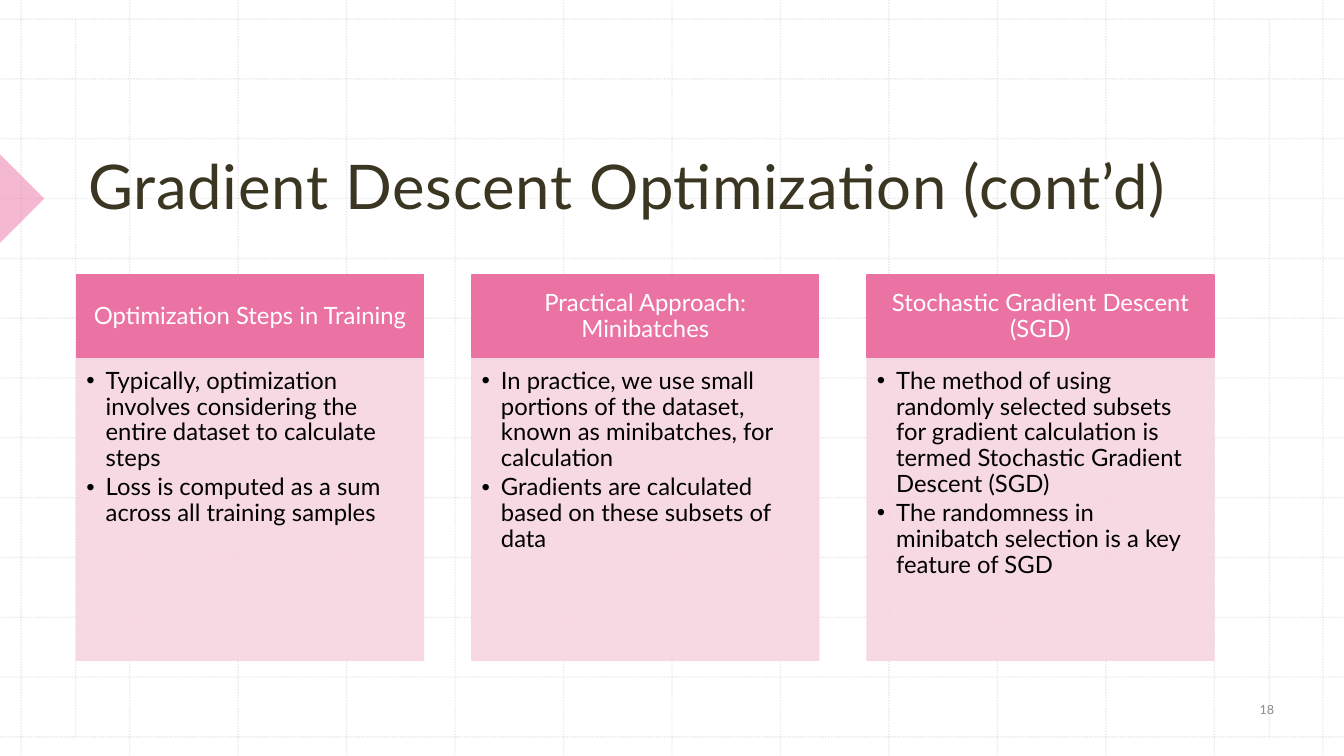
from lxml import etree
from pptx import Presentation
from pptx.dml.color import RGBColor
from pptx.enum.dml import MSO_LINE
from pptx.enum.shapes import MSO_CONNECTOR, MSO_SHAPE
from pptx.enum.text import MSO_ANCHOR, MSO_AUTO_SIZE, PP_ALIGN
from pptx.oxml.ns import qn
from pptx.util import Inches, Pt

STRAIGHT = MSO_CONNECTOR.STRAIGHT
RECT, WEDGE = MSO_SHAPE.RECTANGLE, MSO_SHAPE.RIGHT_TRIANGLE
TOP, MIDDLE, BOTTOM = MSO_ANCHOR.TOP, MSO_ANCHOR.MIDDLE, MSO_ANCHOR.BOTTOM
LEFT, CENTER = PP_ALIGN.LEFT, PP_ALIGN.CENTER
DOTS = MSO_LINE.ROUND_DOT
NO_FIT = MSO_AUTO_SIZE.NONE

COLORS = {
    "grid": "BCBCBC", "pink": "EA73A4", "pale": "F7D5E0", "title": "3A3621",
    "white": "FFFFFF", "black": "000000", "number": "8C8C8C",
}
WIDTH, HEIGHT = 13.33, 7.5
CELLS = 12
CARDS = [
    ("Optimization Steps in Training", [
        "Typically, optimization involves considering the entire dataset to calculate steps",
        "Loss is computed as a sum across all training samples",
    ]),
    ("Practical Approach: Minibatches", [
        "In practice, we use small portions of the dataset, known as minibatches, for calculation",
        "Gradients are calculated based on these subsets of data",
    ]),
    ("Stochastic Gradient Descent (SGD)", [
        "The method of using randomly selected subsets for gradient calculation is termed "
        "Stochastic Gradient Descent (SGD)",
        "The randomness in minibatch selection is a key feature of SGD",
    ]),
]


class Deck:
    font = "Lato"

    def __init__(self):
        self.show = Presentation()
        self.show.slide_width = Inches(WIDTH)
        self.show.slide_height = Inches(HEIGHT)
        self.slide = self.show.slides.add_slide(self.show.slide_layouts[5])
        self.shapes = self.slide.shapes

    def paint(self, fill, color, alpha=100):
        fill.solid()
        fill.fore_color.rgb = RGBColor.from_string(COLORS[color])
        if alpha < 100:
            for node in fill._xPr.iter(qn("a:srgbClr")):
                etree.SubElement(node, qn("a:alpha"), val=str(alpha * 1000))

    def line(self, x1, y1, x2, y2):
        line = self.shapes.add_connector(
            STRAIGHT, Inches(x1), Inches(y1), Inches(x2), Inches(y2))
        self.paint(line.line.fill, "grid", 30)
        line.line.width = Pt(1)
        line.line.dash_style = DOTS
        etree.SubElement(line._element.spPr, qn("a:effectLst"))

    def shape(self, kind, box, color, alpha=100, edge=True):
        shape = self.shapes.add_shape(kind, *map(Inches, box))
        shape.shadow.inherit = False
        if edge:
            self.paint(shape.line.fill, color, alpha)
            shape.line.width = Pt(1)
        else:
            shape.line.fill.background()
        self.paint(shape.fill, color, alpha)
        return shape

    def text(self, shape, texts, size, color, insets, anchor=MIDDLE,
             align=CENTER, space=1.0, after=0):
        frame = shape.text_frame
        frame.text = "\n".join(texts)
        frame.word_wrap = True
        frame.auto_size = NO_FIT
        frame.vertical_anchor = anchor
        (frame.margin_left, frame.margin_top,
         frame.margin_right, frame.margin_bottom) = map(Inches, insets)
        for item in frame.paragraphs:
            item.alignment = align
            item.line_spacing = space
            item.space_before = Pt(0)
            item.space_after = Pt(after)
            for run in item.runs:
                run.font.name = self.font
                run.font.size = Pt(size)
                run.font.color.rgb = RGBColor.from_string(COLORS[color])
        return frame

    def title(self, text, box):
        title = self.shapes.title
        title.left, title.top, title.width, title.height = map(Inches, box)
        frame = self.text(title, [text], 44, "title", (0.12, 0.12, 0.12, 0.1),
                          BOTTOM, LEFT, 1.14)
        frame.paragraphs[0].runs[0].font._element.set("spc", "50")
        self.shapes._spTree.append(title._element)

    def label(self, text, box):
        label = self.shapes.add_textbox(*map(Inches, box))
        self.text(label, [text], 9, "number", (0.12, 0.12, 0.12, 0.1), after=6)

    def bullet(self, item):
        props = item._p.get_or_add_pPr()
        props.set("marL", str(Inches(0.19)))
        props.set("indent", str(Inches(-0.19)))
        etree.SubElement(props, qn("a:buFont"), typeface="Arial")
        etree.SubElement(props, qn("a:buChar"), char="•")

    def card(self, left, head, points):
        top = self.shape(RECT, (left, 2.73, 3.44, 0.82), "pink")
        self.text(top, [head], 17, "white", (0.13, 0.08, 0.13, 0.08), space=0.9)
        body = self.shape(RECT, (left, 3.56, 3.44, 2.99), "pale", 90)
        frame = self.text(body, points, 17, "black", (0.1, 0.1, 0.13, 0.15),
                          TOP, LEFT, 0.9, 2.55)
        for item in frame.paragraphs:
            self.bullet(item)


def main():
    deck = Deck()
    for i in range(CELLS + 1):
        x = 0.21 + i * (13.12 - 0.21) / CELLS
        y = 0.19 + i * (7.31 - 0.19) / CELLS
        deck.line(x, 0, x, HEIGHT)
        deck.line(0, y, WIDTH, y)
    for x in (0.75, 12.59):
        deck.line(x, 0.19, x, 7.31)
    wedge = deck.shape(WEDGE, (-0.31, 1.66, 0.62, 0.62), "pink", 50, edge=False)
    wedge.rotation = 225
    deck.title("Gradient Descent Optimization (cont’d)", (0.76, 0.79, 11.29, 1.51))
    deck.label("18", (12.03, 6.8, 1.07, 0.46))
    for i, (head, points) in enumerate(CARDS):
        deck.card(0.76 + i * 3.92, head, points)
    deck.show.save("out.pptx")


if __name__ == "__main__":
    main()
